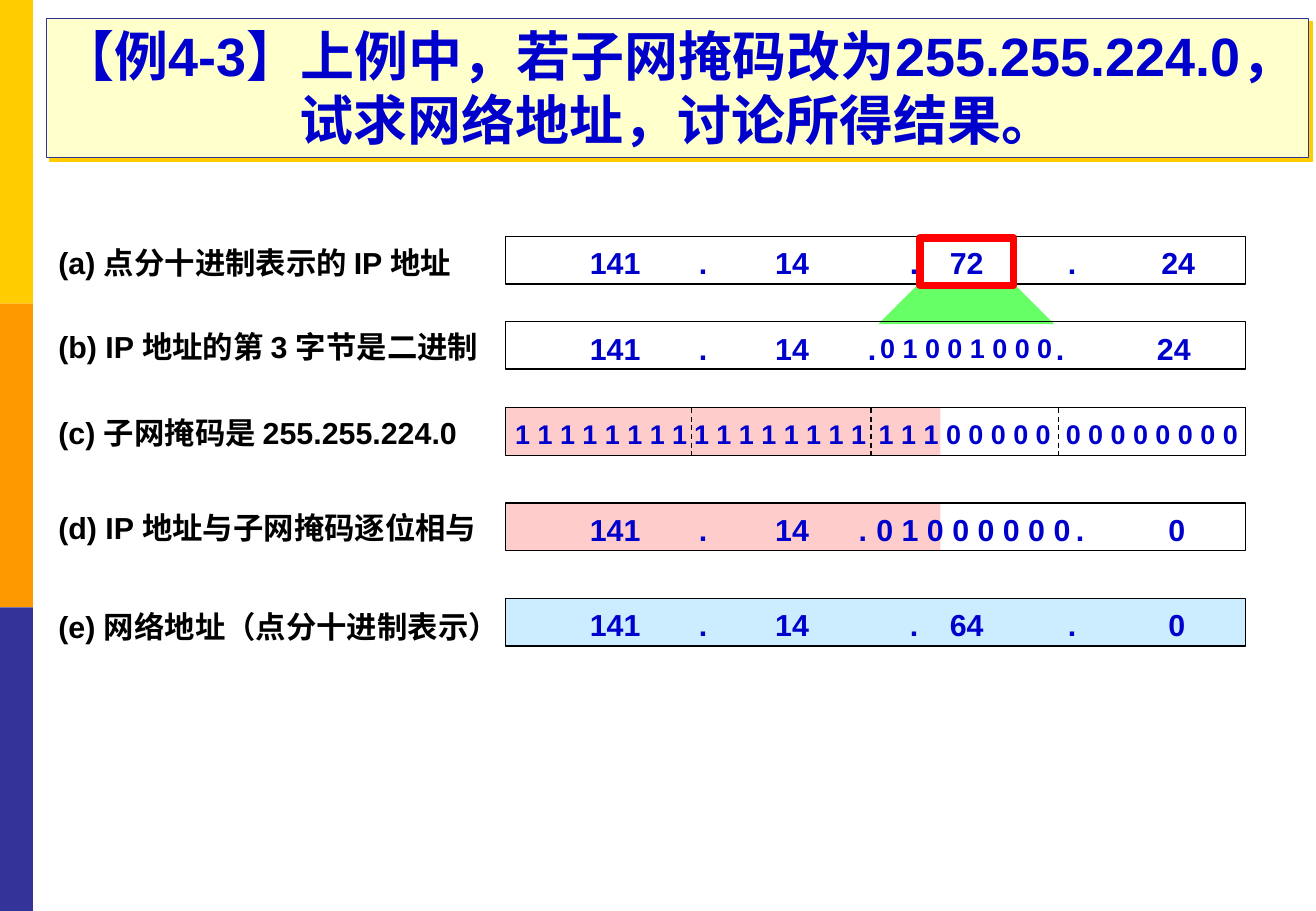
from dataclasses import dataclass
from typing import Optional

from lxml import etree
from pptx import Presentation
from pptx.dml.color import RGBColor
from pptx.enum.dml import MSO_LINE
from pptx.enum.shapes import MSO_CONNECTOR, MSO_SHAPE
from pptx.enum.text import MSO_ANCHOR, MSO_AUTO_SIZE, PP_ALIGN
from pptx.oxml.ns import qn
from pptx.util import Cm, Pt

RECTANGLE = MSO_SHAPE.RECTANGLE
TRAPEZOID = MSO_SHAPE.TRAPEZOID
STRAIGHT = MSO_CONNECTOR.STRAIGHT
DASH = MSO_LINE.DASH
CENTER, LEFT = PP_ALIGN.CENTER, PP_ALIGN.LEFT
TOP, MIDDLE, BOTTOM = MSO_ANCHOR.TOP, MSO_ANCHOR.MIDDLE, MSO_ANCHOR.BOTTOM
NO_AUTOFIT = MSO_AUTO_SIZE.NONE

COLOURS = {
    "yellow": "FFCC00", "orange": "FF9900", "indigo": "333399",
    "cream": "FFFFCC", "pink": "FFCCCC", "sky": "CCECFF",
    "green": "66FF66", "red": "FF0000", "blue": "0000CC", "black": "000000",
}
ROW_LEFT, ROW_WIDTH, ROW_HEIGHT = 10.57, 15.47, 0.99
LABEL_LEFT, LABEL_HEIGHT = 0.97, 1.02
MASK_WIDTH = 9.09
BAR_WIDTH, BAR_HEIGHT = 0.69, 6.35
TOKEN_HEIGHT = 1.09


@dataclass
class Token:
    text: str
    center: float
    size: int = 18


@dataclass
class Row:
    label: str
    label_top: float
    label_width: float
    top: float
    tokens: list[Token]
    fill: Optional[str] = None
    masked: bool = False
    dividers: tuple[float, ...] = ()


NETWORK_START = [Token("141", 12.86), Token(".", 14.7), Token("14", 16.56)]
ROWS = [
    Row("(a) 点分十进制表示的 IP 地址", 4.98, 8.86, 4.95, NETWORK_START + [
        Token(".", 19.11), Token("72", 20.21), Token(".", 22.41), Token("24", 24.63)]),
    Row("(b) IP 地址的第 3 字节是二进制", 6.73, 9.45, 6.73, NETWORK_START + [
        Token(".", 18.23), Token("0 1 0 0 1 0 0 0", 20.2, 16),
        Token(".", 22.16), Token("24", 24.54)]),
    Row("(c) 子网掩码是 255.255.224.0", 8.53, 8.97, 8.53, [
        Token("1 1 1 1 1 1 1 1", 12.57, 16), Token("1 1 1 1 1 1 1 1", 16.31, 16),
        Token("1 1 1 0 0 0 0 0", 20.17, 16), Token("0 0 0 0 0 0 0 0", 24.08, 16)],
        masked=True, dividers=(14.45, 18.21, 22.12)),
    Row("(d) IP 地址与子网掩码逐位相与", 10.52, 9.37, 10.52, NETWORK_START + [
        Token(".", 18.04), Token("0 1 0 0 0 0 0 0", 20.35),
        Token(".", 22.58), Token("0", 24.6)], masked=True),
    Row("(e) 网络地址（点分十进制表示）", 12.6, 9.86, 12.52, NETWORK_START + [
        Token(".", 19.11), Token("64", 20.21), Token(".", 22.41), Token("0", 24.6)],
        fill="sky"),
]


def colour(name: str) -> RGBColor:
    return RGBColor.from_string(COLOURS[name])


def set_values(target, values: dict) -> None:
    for name, value in values.items():
        setattr(target, name, value)


def paint(shape, fill: Optional[str], line: Optional[str], line_width: float) -> None:
    if fill:
        shape.fill.solid()
        shape.fill.fore_color.rgb = colour(fill)
    else:
        shape.fill.background()
    if line:
        shape.line.color.rgb = colour(line)
        shape.line.width = Pt(line_width)
    else:
        shape.line.fill.background()


def add_box(slide, left: float, top: float, width: float, height: float,
            fill: Optional[str] = None, line: Optional[str] = None,
            line_width: float = 0.75, kind=RECTANGLE):
    shape = slide.shapes.add_shape(kind, Cm(left), Cm(top), Cm(width), Cm(height))
    shape.shadow.inherit = False
    paint(shape, fill, line, line_width)
    return shape


def write(shape, text: str, size: int, ink: str, alignment, frame_format: dict) -> None:
    frame = shape.text_frame
    set_values(frame, {"auto_size": NO_AUTOFIT, **frame_format})
    paragraph = frame.paragraphs[0]
    paragraph.alignment = alignment
    run = paragraph.add_run()
    run.text = text
    set_values(run.font, {"name": "Arial", "size": Pt(size), "bold": True})
    run.font.color.rgb = colour(ink)


def add_title(slide) -> None:
    title = slide.shapes.title
    set_values(title, {"left": Cm(0.97), "top": Cm(0.38),
                       "width": Cm(26.39), "height": Cm(2.92)})
    paint(title, "cream", "indigo", 0.75)
    effects = etree.SubElement(title.element.spPr, qn("a:effectLst"))
    shadow = etree.SubElement(effects, qn("a:outerShdw"), dist=str(Pt(2.8)),
                              dir="2700000", algn="ctr", rotWithShape="0")
    etree.SubElement(shadow, qn("a:srgbClr"), val=COLOURS["yellow"])
    write(title, "【例4-3】上例中，若子网掩码改为255.255.224.0，试求网络地址，讨论所得结果。",
          32, "blue", CENTER, {"word_wrap": True, "vertical_anchor": BOTTOM})


def add_token(slide, token: Token, top: float) -> None:
    width = 0.4 + 0.28 * len(token.text)
    box = slide.shapes.add_textbox(Cm(token.center - width / 2), Cm(top),
                                   Cm(width), Cm(TOKEN_HEIGHT))
    write(box, token.text, token.size, "blue", CENTER, {
        "word_wrap": False, "vertical_anchor": MIDDLE, "margin_left": 0,
        "margin_right": 0, "margin_top": 0, "margin_bottom": 0})


def add_divider(slide, x: float, top: float) -> None:
    divider = slide.shapes.add_connector(STRAIGHT, Cm(x), Cm(top),
                                         Cm(x), Cm(top + ROW_HEIGHT))
    set_values(divider.line, {"width": Pt(0.75), "dash_style": DASH})
    divider.line.color.rgb = colour("black")
    etree.SubElement(divider.element.spPr, qn("a:effectLst"))


def add_row(slide, row: Row) -> None:
    if row.masked:
        add_box(slide, ROW_LEFT, row.top, MASK_WIDTH, ROW_HEIGHT, fill="pink")
    add_box(slide, ROW_LEFT, row.top, ROW_WIDTH, ROW_HEIGHT, row.fill, "black")
    for x in row.dividers:
        add_divider(slide, x, row.top)
    for token in row.tokens:
        add_token(slide, token, row.top)
    label = slide.shapes.add_textbox(Cm(LABEL_LEFT), Cm(row.label_top),
                                     Cm(row.label_width), Cm(LABEL_HEIGHT))
    write(label, row.label, 18, "black", LEFT,
          {"word_wrap": True, "vertical_anchor": TOP})


def main() -> None:
    presentation = Presentation()
    set_values(presentation, {"slide_width": Cm(27.51), "slide_height": Cm(19.05)})
    slide = presentation.slides.add_slide(presentation.slide_layouts[5])
    for index, name in enumerate(("yellow", "orange", "indigo")):
        add_box(slide, 0, index * BAR_HEIGHT, BAR_WIDTH, BAR_HEIGHT, fill=name)
    add_title(slide)
    expansion = add_box(slide, 18.36, 5.92, 3.68, 0.86, fill="green", kind=TRAPEZOID)
    expansion.adjustments[0] = 1.0
    for row in ROWS:
        add_row(slide, row)
    add_box(slide, 19.23, 4.98, 1.96, ROW_HEIGHT, line="red", line_width=4.5)
    presentation.save("out.pptx")


if __name__ == "__main__":
    main()
